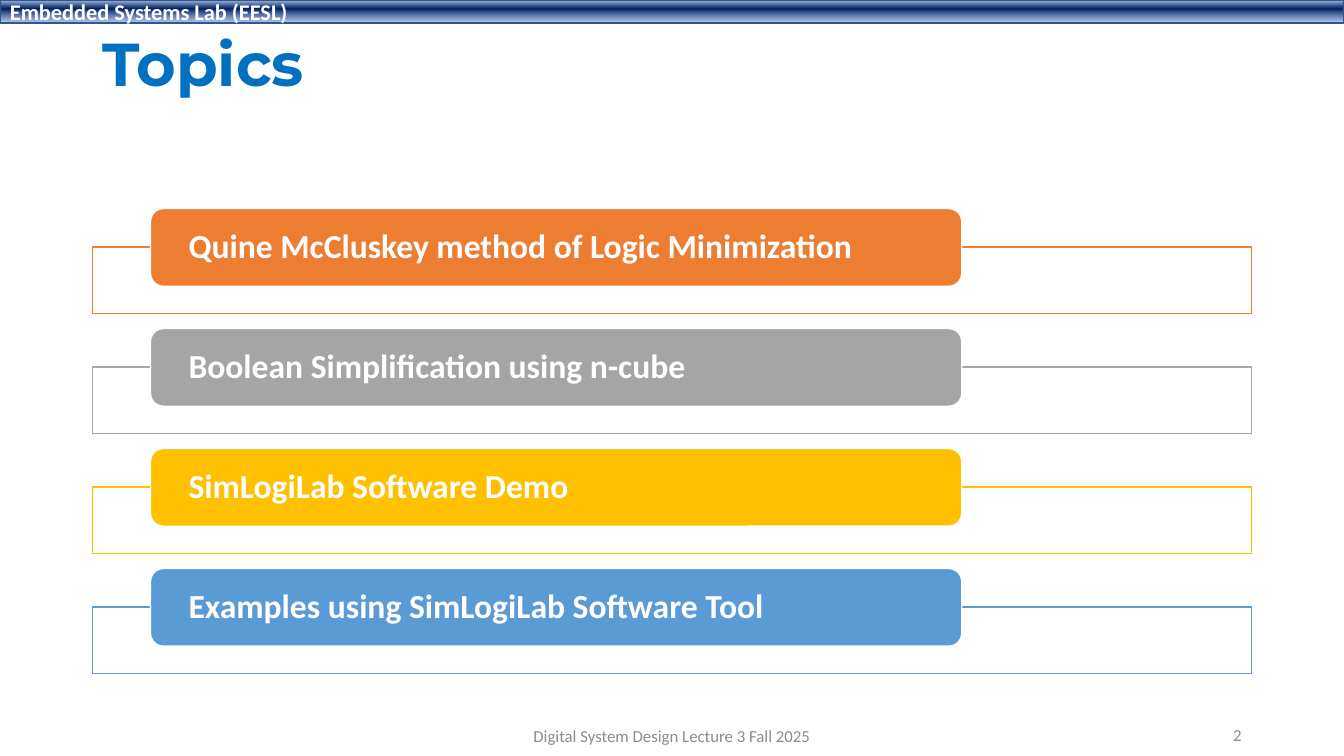
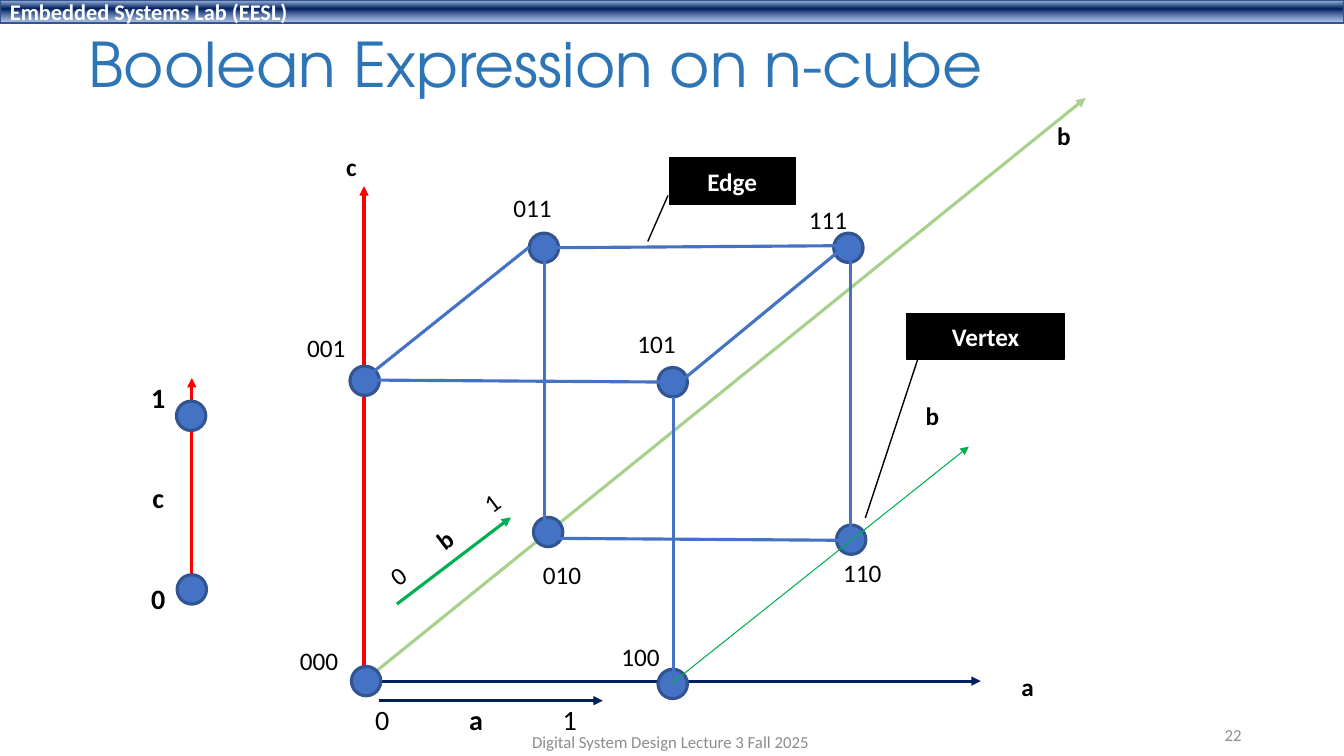
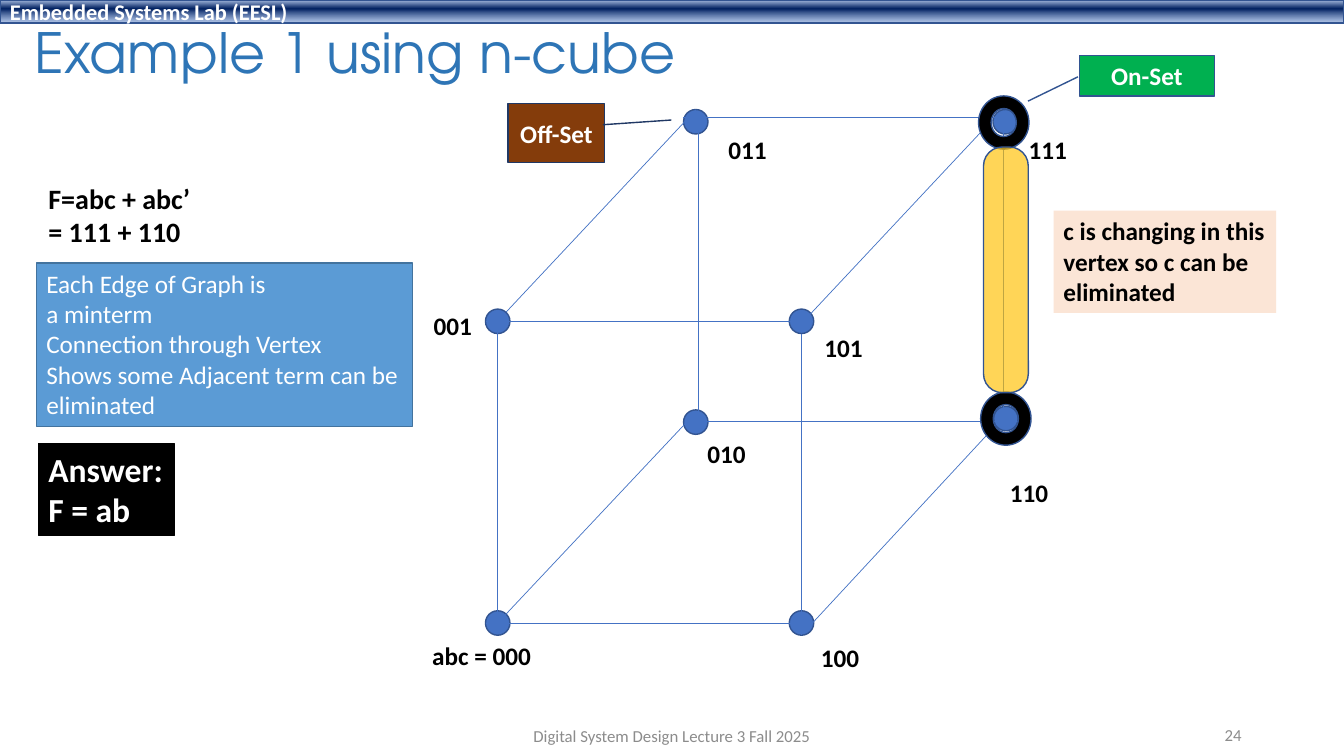
from lxml.etree import SubElement
from pptx import Presentation
from pptx.dml.color import RGBColor
from pptx.enum.shapes import MSO_CONNECTOR, MSO_SHAPE as Shape
from pptx.enum.text import MSO_ANCHOR as Anchor, MSO_AUTO_SIZE, PP_ALIGN as Align
from pptx.oxml.ns import qn
from pptx.util import Pt

WHITE = RGBColor(0xFF, 0xFF, 0xFF)
BLACK = RGBColor(0x00, 0x00, 0x00)
GRAY = RGBColor(0x8C, 0x8C, 0x8C)
SILVER = RGBColor(0xA5, 0xA5, 0xA5)
ORANGE = RGBColor(0xED, 0x7D, 0x31)
GOLD = RGBColor(0xFF, 0xC0, 0x00)
SKY = RGBColor(0x5B, 0x9B, 0xD5)
SKY_EDGE = RGBColor(0x43, 0x73, 0x9E)
BLUE = RGBColor(0x44, 0x72, 0xC4)
BLUE_EDGE = RGBColor(0x32, 0x54, 0x91)
TITLE_BLUE = RGBColor(0x2E, 0x75, 0xB6)
TOPIC_BLUE = RGBColor(0x00, 0x70, 0xC0)
NAVY = RGBColor(0x00, 0x20, 0x60)
DEEP_BLUE = RGBColor(0x20, 0x38, 0x64)
PALE_BLUE = RGBColor(0xAB, 0xC0, 0xE4)
SOFT_BLUE = RGBColor(0x7E, 0x9E, 0xD6)
RED = RGBColor(0xFF, 0x00, 0x00)
GREEN = RGBColor(0x00, 0xB0, 0x50)
LIGHT_GREEN = RGBColor(0xA9, 0xD1, 0x8E)
BROWN = RGBColor(0x84, 0x3C, 0x0B)
PEACH = RGBColor(0xFB, 0xE5, 0xD6)

BODY_FONT = "Calibri"
TITLE_FONT = "TeX Gyre Adventor"
NOTE_INSETS = (7.2, 3.6, 0, 3.6)


def add_box(page, kind, area, lines=(), fill=None, edge=None, weight=1, size=18,
            color=BLACK, bold=True, align=Align.LEFT, anchor=Anchor.MIDDLE,
            insets=(7.2, 3.6, 7.2, 3.6), spacing=1.0):
    place = [Pt(length) for length in area]
    if kind is None:
        box = page.shapes.add_textbox(*place)
    else:
        box = page.shapes.add_shape(kind, *place)
        box.shadow.inherit = False
        box.fill.solid()
        box.fill.fore_color.rgb = fill
        if edge is None:
            box.line.fill.background()
        else:
            box.line.color.rgb = edge
            box.line.width = Pt(weight)
    frame = box.text_frame
    frame.word_wrap = True
    frame.vertical_anchor = anchor
    frame.margin_left, frame.margin_top, frame.margin_right, frame.margin_bottom = map(Pt, insets)
    for index, line in enumerate(lines):
        para = frame.add_paragraph() if index else frame.paragraphs[0]
        para.alignment = align
        para.line_spacing = spacing
        span = para.add_run()
        span.text = line
        span.font.name = BODY_FONT
        span.font.size = Pt(size)
        span.font.bold = bold
        span.font.color.rgb = color
    return box


def add_line(page, ends, color, width, arrow=False):
    line = page.shapes.add_connector(MSO_CONNECTOR.STRAIGHT, *map(Pt, ends))
    line.line.color.rgb = color
    line.line.width = Pt(width)
    properties = line.element.spPr
    if arrow:
        SubElement(properties.find(qn("a:ln")), qn("a:tailEnd"), type="triangle")
    SubElement(properties, qn("a:effectLst"))


deck = Presentation()
deck.slide_width = Pt(960)
deck.slide_height = Pt(540)
title_only = deck.slide_layouts[5]

headings = [
    ("Topics", (66, 20, 828, 55.5), "Montserrat", 43.2, True, TOPIC_BLUE, "2", (318, 511)),
    ("Boolean Expression on n-cube", (56, 8.5, 828, 79), TITLE_FONT, 44, False, TITLE_BLUE,
     "22", (317, 515)),
    ("Example 1 using n-cube", (17.5, -3.5, 483, 86.5), TITLE_FONT, 39.6, False, TITLE_BLUE,
     "24", (318, 511)),
]
for heading, area, font, size, bold, color, number, footer in headings:
    page = deck.slides.add_slide(title_only)
    title = page.shapes.title
    title.left, title.top, title.width, title.height = map(Pt, area)
    title.text_frame.auto_size = MSO_AUTO_SIZE.NONE
    title.text_frame.word_wrap = True
    title.text_frame.vertical_anchor = Anchor.MIDDLE
    para = title.text_frame.paragraphs[0]
    para.alignment = Align.LEFT
    para.line_spacing = 0.9
    span = para.add_run()
    span.text = heading
    span.font.name = font
    span.font.size = Pt(size)
    span.font.bold = bold
    span.font.color.rgb = color
    add_box(page, None, (*footer, 324, 29), ["Digital System Design Lecture 3 Fall 2025"],
            size=12, color=GRAY, bold=False, align=Align.CENTER)
    add_box(page, None, (678, 510.5, 216, 29), [number],
            size=12, color=GRAY, bold=False, align=Align.RIGHT)

topics, cube, example = deck.slides

band = add_box(topics, Shape.RECTANGLE, (0, 0, 960, 16.5), ["Embedded Systems Lab (EESL)"],
               fill=NAVY, edge=BLUE_EDGE, size=16, color=WHITE)
band.fill.gradient()
band.fill.gradient_angle = 270
stops = band.element.spPr.find(qn("a:gradFill")).find(qn("a:gsLst"))
for stop in list(stops):
    stops.remove(stop)
for position, color, opacity in [(2, PALE_BLUE, 100), (38, NAVY, 100), (93, SOFT_BLUE, 64)]:
    stop = SubElement(stops, qn("a:gs"), pos=str(position * 1000))
    tint = SubElement(stop, qn("a:srgbClr"), val=str(color))
    SubElement(tint, qn("a:alpha"), val=str(opacity * 1000))
deck.slide_master.shapes.element.insert(2, band.element)

topic_rows = [
    ("Quine McCluskey method of Logic Minimization", ORANGE),
    ("Boolean Simplification using n-cube", SILVER),
    ("SimLogiLab Software Demo", GOLD),
    ("Examples using SimLogiLab Software Tool", SKY),
]
for row, (topic, color) in enumerate(topic_rows):
    top = 149 + row * 85.7
    add_box(topics, Shape.RECTANGLE, (66, top + 27.5, 828, 47.5), fill=WHITE, edge=color)
    add_box(topics, Shape.ROUNDED_RECTANGLE, (107.5, top, 579.5, 55.5), [topic], fill=color,
            edge=WHITE, size=24, color=WHITE, insets=(24.5, 0, 24.5, 0), spacing=0.9)

axes = [
    ((260, 486.5, 260, 133), RED),
    ((261.5, 486.5, 700.5, 486.5), NAVY),
    ((260, 486.5, 775.5, 70), LIGHT_GREEN),
    ((137, 422.5, 137, 270), RED),
    ((270.5, 500.5, 430.5, 500.5), NAVY),
    ((283.5, 431.5, 365, 369.5), GREEN),
]
for ends, color in axes:
    add_line(cube, ends, color, 2.25, arrow=True)

cube_vertices = [
    (261.5, 486.5), (260.5, 272), (480.5, 488.5), (391.5, 380), (480.5, 273),
    (388.5, 177), (606, 177), (608, 385.5), (137, 421), (136.5, 297),
]
example_vertices = [
    (355.5, 445), (572.5, 445), (355.5, 229.5), (572.5, 229.5),
    (497, 87), (718, 87), (497, 301.5), (718.5, 299),
]
cube_edges = [
    (481, 283.5, 481, 488), (265.5, 271.5, 486, 273), (389, 177, 601, 175.5),
    (265.5, 266.5, 378, 176.5), (479, 278.5, 604, 175.5), (607.5, 180.5, 607.5, 385),
    (389, 178, 389, 381.5), (391.5, 384.5, 612, 386),
]
example_edges = [
    (347, 229.5, 581, 229.5), (347, 445, 581, 445), (488, 83.5, 722, 83.5),
    (355.5, 229.5, 355.5, 445), (572.5, 238.5, 572.5, 453.5), (499, 83.5, 499, 299),
    (717, 83.5, 717, 299), (499, 301, 732, 301), (497, 78.5, 361.5, 223),
    (709, 85.5, 574, 229.5), (713.5, 301.5, 579, 446.5), (491, 301, 355.5, 445),
]
graphs = [
    (cube, cube_vertices, cube_edges, 21, 2.25, 2.25),
    (example, example_vertices, example_edges, 17.5, 1, 0.5),
]
for page, vertices, edges, diameter, outline, width in graphs:
    for x, y in vertices:
        add_box(page, Shape.OVAL, (x - diameter / 2, y - diameter / 2, diameter, diameter),
                fill=BLUE, edge=BLUE_EDGE, weight=outline)
    for ends in edges:
        add_line(page, ends, BLUE, width)
add_line(cube, (480, 488, 692, 319), GREEN, 0.75, arrow=True)

cube_labels = [
    ("000", 228, 471.5), ("100", 457.5, 469), ("001", 233, 248.5), ("111", 591.5, 157),
    ("010", 401.5, 410.5), ("110", 616, 409), ("101", 469, 245), ("011", 380.5, 148.5),
]
axis_labels = [("b", 760, 97), ("a", 734, 490), ("c", 251, 119), ("b", 666, 297)]
example_labels = [
    ("abc = 000", 344, 468), ("100", 600, 469.5), ("110", 735, 351.5), ("111", 748.5, 106.5),
    ("011", 534, 106.5), ("101", 602.5, 248.5), ("001", 323.5, 232.5), ("010", 519, 324),
]
labels = [(cube, *label, 18, False, 0) for label in cube_labels]
labels += [(cube, *label, 18, True, 0) for label in axis_labels]
labels += [(example, *label, 18, True, 0) for label in example_labels]
for step in range(3):
    labels += [
        (cube, "1c0"[step], 113, 283.5 + 72 * step, 20, True, 0),
        (cube, "0a1"[step], 273 + 67 * step, 513.5, 20, step == 1, 0),
        (cube, "0b1"[step], 284 + 33.5 * step, 411 - 26 * step, 18, step == 1, 322.9),
    ]
for page, text, x, y, size, bold, angle in labels:
    label = add_box(page, None, (x - 50, y - 15, 100, 30), [text], size=size, bold=bold,
                    align=Align.CENTER, insets=(0, 0, 0, 0))
    label.rotation = angle

for area in [(700.5, 280, 36, 38), (699, 68.5, 36, 38)]:
    add_box(example, Shape.DONUT, area, fill=BLACK, edge=BLUE_EDGE)
capsule = add_box(example, Shape.ROUNDED_RECTANGLE, (702.5, 105, 32, 175.5),
                  fill=GOLD, edge=BLUE_EDGE)
capsule.adjustments[0] = 0.42
tint = capsule.element.spPr.find(qn("a:solidFill"))[0]
SubElement(tint, qn("a:alpha"), val="66000")

add_box(example, None, (27.5, 126, 150, 55.5), ["F=abc + abc’", "= 111 + 110"], size=20,
        anchor=Anchor.TOP)
notes = [
    ((752.5, 150.5, 159, 73), PEACH, None, BLACK, 18, True,
     ["c is changing in this", "vertex so c can be", "eliminated"]),
    ((27.5, 317, 97, 65.5), BLACK, BLACK, WHITE, 24, True, ["Answer:", "F = ab"]),
    ((26, 188, 268.5, 116.5), SKY, SKY_EDGE, WHITE, 18, False,
     ["Each Edge of Graph is", "a minterm", "Connection through Vertex",
      "Shows some Adjacent term can be", "eliminated"]),
]
for area, fill, edge, color, size, bold, lines in notes:
    add_box(example, Shape.RECTANGLE, area, lines, fill=fill, edge=edge, size=size,
            color=color, bold=bold, anchor=Anchor.TOP, insets=NOTE_INSETS)

callouts = [
    (cube, "Vertex", (647.5, 224, 113, 32.5), BLACK, BLACK, (1.02, 0.07, 4.49, -0.26)),
    (cube, "Edge", (478, 112.5, 90, 33.5), BLACK, BLACK, (0.81, -0.01, 1.79, -0.17)),
    (example, "On-Set", (771, 39.5, 96.5, 29), GREEN, BLUE_EDGE, (0.53, -0.01, 1.13, -0.38)),
    (example, "Off-Set", (363, 74, 69, 42), BROWN, DEEP_BLUE, (0.36, 0.98, 0.28, 1.69)),
]
for page, text, area, fill, edge, pointer in callouts:
    callout = add_box(page, Shape.LINE_CALLOUT_1, area, [text], fill=fill, edge=edge,
                      color=WHITE, align=Align.CENTER)
    for index, ratio in enumerate(pointer):
        callout.adjustments[index] = ratio

deck.save("out.pptx")
